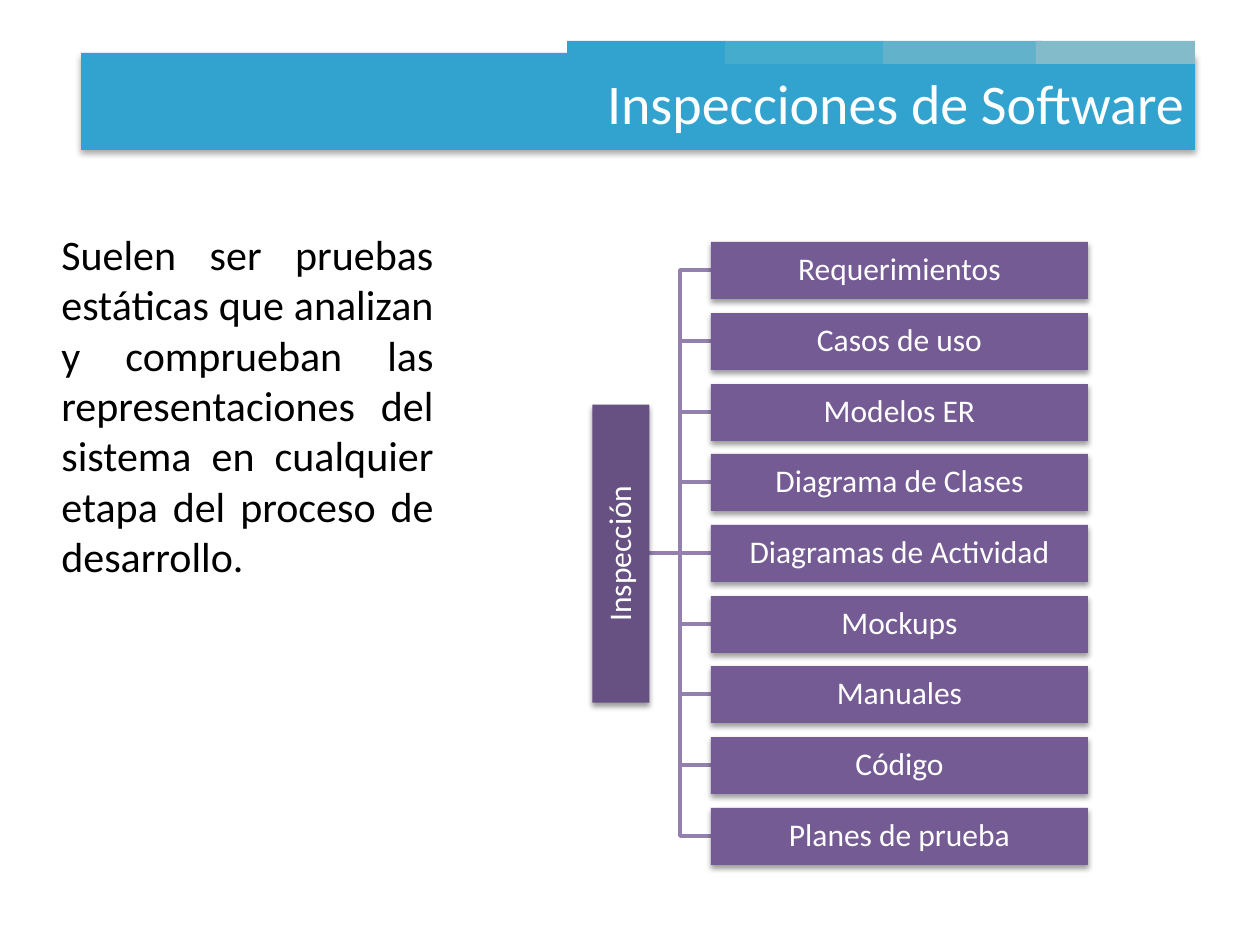
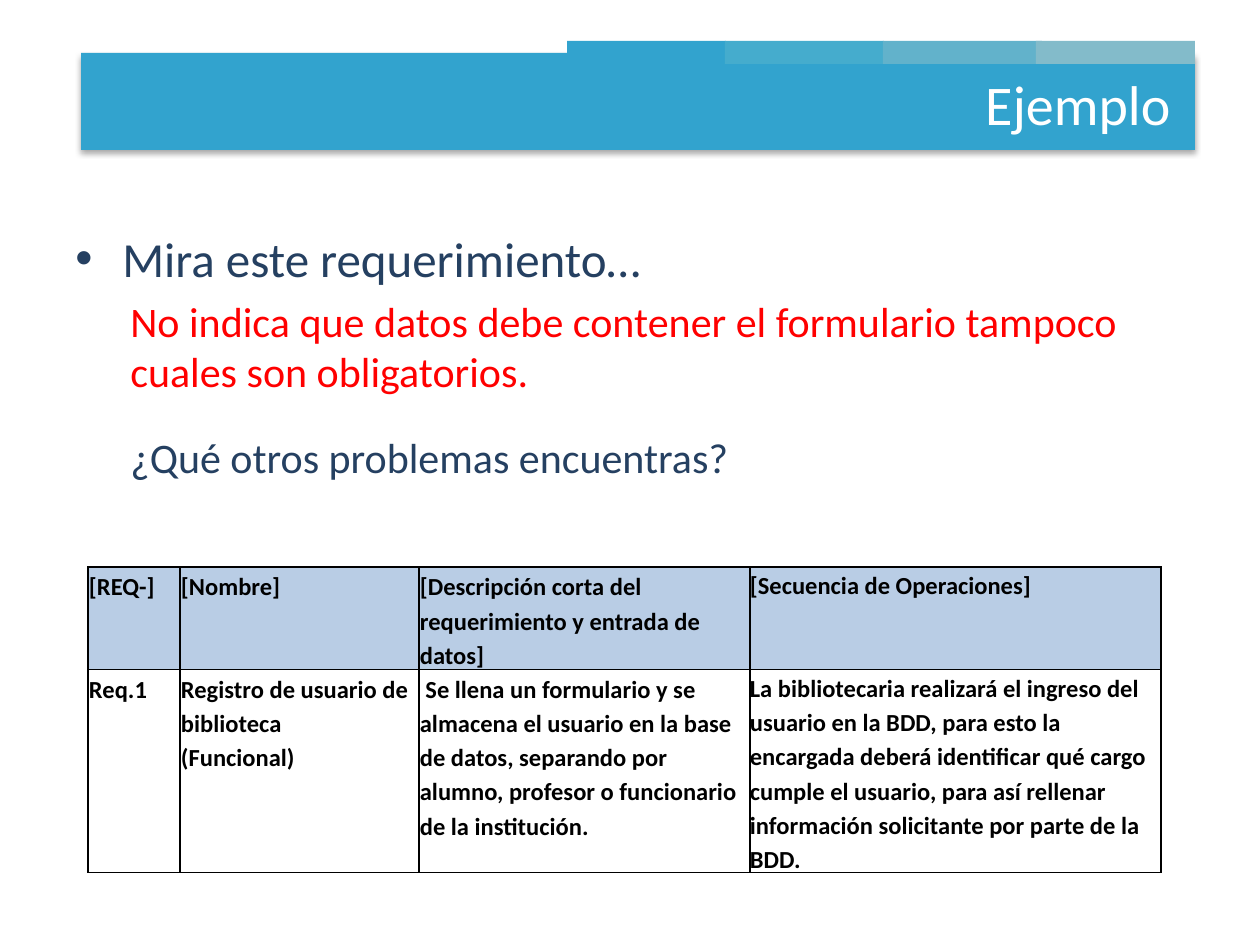
from dataclasses import dataclass
from typing import NamedTuple

from lxml.etree import SubElement
from pptx import Presentation
from pptx.dml.color import RGBColor
from pptx.enum.shapes import MSO_CONNECTOR, MSO_SHAPE
from pptx.enum.text import MSO_ANCHOR, PP_ALIGN
from pptx.oxml.ns import qn
from pptx.util import Emu, Pt

SCALE = 914400 / 126
FONT = "Calibri"
BLUE, NAVY, RED = "32A3CE", "254061", "FF0000"
WHITE, BLACK = "FFFFFF", "000000"
PLUM, DARK, WIRE = "745B93", "675082", "9480AE"
HEAD = "B9CDE5"


class Box(NamedTuple):
    x: int
    y: int
    w: int
    h: int


class Tab(NamedTuple):
    x: int
    color: str


@dataclass
class Line:
    text: str
    size: int
    color: str = BLACK
    bold: bool = False
    align: PP_ALIGN = PP_ALIGN.LEFT
    lead: float = 1.0
    before: float = 0
    left: int = 0
    hang: int = 0
    mark: str = ""


BAND = Box(81, 53, 1114, 97)
TABS = [Tab(567, BLUE), Tab(725, "45ACCD"), Tab(883, "62B2CB"), Tab(1036, "83BBCA")]

ITEMS = [
    "Requerimientos", "Casos de uso", "Modelos ER", "Diagrama de Clases",
    "Diagramas de Actividad", "Mockups", "Manuales", "Código", "Planes de prueba",
]
ROOT_X, SPINE_X, ITEM_X = 649, 680, 711
FIRST_Y, LAST_Y, ITEM_H = 242, 808, 57

COLS = [92, 239, 331, 411]
ROWS = [102, 203]
CELLS = [
    [
        ["[REQ-]"],
        ["[Nombre]"],
        ["[Descripción corta del requerimiento y entrada de datos]"],
        ["[Secuencia de Operaciones]"],
    ],
    [
        ["Req.1"],
        ["Registro de usuario de biblioteca", "(Funcional)"],
        [" Se llena un formulario y se almacena el usuario en la base de datos, "
         "separando por alumno, profesor o funcionario de la institución."],
        ["La bibliotecaria realizará el ingreso del usuario en la BDD, para esto la "
         "encargada deberá identificar qué cargo cumple el usuario, para así rellenar "
         "información solicitante por parte de la BDD."],
    ],
]


def px(n: float) -> Emu:
    return Emu(round(n * SCALE))


def rgb(code: str) -> RGBColor:
    return RGBColor.from_string(code)


def put(frame, lines: list[Line]) -> None:
    for i, line in enumerate(lines):
        para = frame.add_paragraph() if i else frame.paragraphs[0]
        para.text = line.text
        para.alignment = line.align
        para.line_spacing = line.lead
        para.space_before = Pt(line.before)
        props = para._p.get_or_add_pPr()
        props.set("marL", str(px(line.left)))
        props.set("indent", str(px(-line.hang)))
        if line.mark:
            SubElement(props, qn("a:buFont")).set("typeface", "Arial")
            SubElement(props, qn("a:buChar")).set("char", line.mark)
        font = para.font
        font.name, font.size, font.bold = FONT, Pt(line.size), line.bold
        font.color.rgb = rgb(line.color)


def write(slide, box: Box, lines: list[Line]) -> None:
    frame = slide.shapes.add_textbox(*map(px, box)).text_frame
    frame.word_wrap = True
    put(frame, lines)


def block(slide, box: Box, color: str, shade: int = 0):
    shape = slide.shapes.add_shape(MSO_SHAPE.RECTANGLE, *map(px, box))
    shape.fill.solid()
    shape.fill.fore_color.rgb = rgb(color)
    shape.line.fill.background()
    shape.shadow.inherit = False
    if shade:
        effects = shape._element.spPr.find(qn("a:effectLst"))
        outer = SubElement(effects, qn("a:outerShdw"), blurRad="40000",
                           dist="22000", dir="5400000", rotWithShape="0")
        tint = SubElement(outer, qn("a:srgbClr"), val=BLACK)
        SubElement(tint, qn("a:alpha"), val=str(shade * 1000))
    return shape


def label(slide, box: Box, color: str, text: str, turn: int = 0) -> None:
    shape = block(slide, box, color, 38)
    shape.rotation = turn
    frame = shape.text_frame
    frame.word_wrap = True
    frame.vertical_anchor = MSO_ANCHOR.MIDDLE
    frame.margin_left = frame.margin_right = px(1)
    frame.margin_top = frame.margin_bottom = px(1)
    put(frame, [Line(text, 18, WHITE, align=PP_ALIGN.CENTER, lead=0.9)])


def link(slide, start: int, end: int) -> None:
    if start == end:
        wire = slide.shapes.add_connector(
            MSO_CONNECTOR.STRAIGHT, px(ROOT_X), px(start), px(ITEM_X), px(end))
        SubElement(wire._element.spPr, qn("a:effectLst"))
    else:
        path = slide.shapes.build_freeform(ROOT_X, start, SCALE)
        path.add_line_segments(
            [(SPINE_X, start), (SPINE_X, end), (ITEM_X, end)], close=False)
        wire = path.convert_to_shape()
        wire.fill.background()
        wire.shadow.inherit = False
    wire.line.color.rgb = rgb(WIRE)
    wire.line.width = Pt(2)


def tree(slide) -> None:
    step = (LAST_Y - FIRST_Y) / (len(ITEMS) - 1)
    tops = [round(FIRST_Y + i * step) for i in range(len(ITEMS))]
    half = ITEM_H // 2
    mid = tops[len(tops) // 2] + half
    for top in reversed(tops):
        link(slide, mid, top + half)
    label(slide, Box(472, mid - half, 298, ITEM_H), DARK, "Inspección", 270)
    for top, text in zip(tops, ITEMS):
        label(slide, Box(ITEM_X, top, 377, ITEM_H), PLUM, text)


def edge(cell) -> None:
    props = cell._tc.get_or_add_tcPr()
    for i, side in enumerate(("lnL", "lnR", "lnT", "lnB")):
        line = SubElement(props, qn("a:" + side), w=str(Pt(1)))
        fill = SubElement(line, qn("a:solidFill"))
        SubElement(fill, qn("a:srgbClr"), val=BLACK)
        props.insert(i, line)


def grid(slide, x: int, y: int) -> None:
    area = Box(x, y, sum(COLS), sum(ROWS))
    table = slide.shapes.add_table(len(ROWS), len(COLS), *map(px, area)).table
    table.first_row = table.horz_banding = False
    for col, width in zip(table.columns, COLS):
        col.width = px(width)
    for r, (row, high) in enumerate(zip(table.rows, ROWS)):
        row.height = px(high)
        for c, cell in enumerate(row.cells):
            pad = px(0 if c == len(COLS) - 1 else 1)
            cell.margin_left = cell.margin_right = cell.margin_top = pad
            cell.margin_bottom = 0
            if r:
                cell.fill.background()
            else:
                cell.fill.solid()
                cell.fill.fore_color.rgb = rgb(HEAD)
            edge(cell)
            put(cell.text_frame,
                [Line(text, 14, bold=True, lead=1.15) for text in CELLS[r][c]])


def page(deck, title: str, box: Box):
    slide = deck.slides.add_slide(deck.slide_layouts[6])
    block(slide, BAND, BLUE, 35)
    for tab in TABS:
        block(slide, Box(tab.x, 41, 159, 23), tab.color)
    write(slide, box, [Line(title, 32, WHITE, align=PP_ALIGN.RIGHT)])
    return slide


def main() -> None:
    deck = Presentation()
    deck.slide_width, deck.slide_height = px(1260), px(945)

    slide = page(deck, "Inspecciones de Software", Box(386, 62, 811, 81))
    write(slide, Box(49, 222, 397, 624), [
        Line("Suelen ser pruebas estáticas que analizan y comprueban las "
             "representaciones del sistema en cualquier etapa del proceso de "
             "desarrollo.", 24, align=PP_ALIGN.JUSTIFY),
    ])
    tree(slide)

    slide = page(deck, "Ejemplo", Box(970, 63, 213, 81))
    write(slide, Box(63, 222, 1134, 624), [
        Line("Mira este requerimiento…", 28, NAVY, left=47, hang=47, mark="•"),
        Line("No indica que datos debe contener el formulario tampoco cuales son "
             "obligatorios.", 24, RED, before=4.8, left=55),
        Line("¿Qué otros problemas encuentras?", 24, NAVY, before=20, left=55),
    ])
    grid(slide, 88, 567)

    deck.save("out.pptx")


if __name__ == "__main__":
    main()
